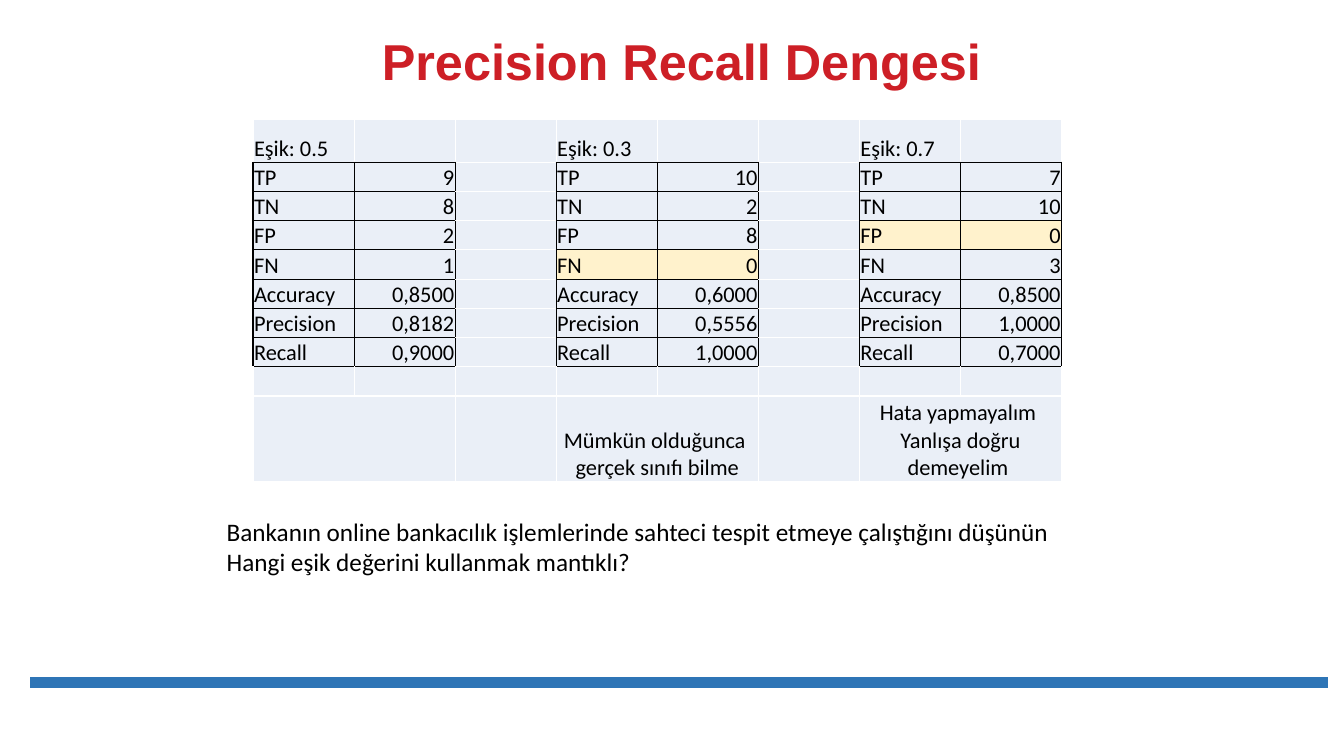
from lxml import etree
from pptx import Presentation
from pptx.dml.color import RGBColor
from pptx.enum.shapes import MSO_CONNECTOR as Connector
from pptx.enum.text import MSO_ANCHOR as Anchor, PP_ALIGN as Align
from pptx.oxml.ns import qn
from pptx.util import Inches, Pt

RED = RGBColor(0xCD, 0x1F, 0x26)
BLUE = RGBColor(0x2E, 0x75, 0xB6)
BLACK = RGBColor(0x00, 0x00, 0x00)
WHITE = RGBColor(0xFF, 0xFF, 0xFF)
PALE_BLUE = RGBColor(0xEA, 0xEF, 0xF7)
PALE_YELLOW = RGBColor(0xFF, 0xF2, 0xCC)

METRICS = ["TP", "TN", "FP", "FN", "Accuracy", "Precision", "Recall"]
# Threshold, metric values, highlighted metric, note below
THRESHOLDS = [
    ("0.5", ["9", "8", "2", "1", "0,8500", "0,8182", "0,9000"], None, ""),
    ("0.3", ["10", "2", "8", "0", "0,6000", "0,5556", "1,0000"], "FN",
     "Mümkün olduğunca \ngerçek sınıfı bilme"),
    ("0.7", ["7", "10", "0", "3", "0,8500", "1,0000", "0,7000"], "FP",
     "Hata yapmayalım \nYanlışa doğru demeyelim "),
]
BLOCK_STEP = 3
COLUMNS = BLOCK_STEP * len(THRESHOLDS) - 1
ROW_HEIGHTS = [0.43] + [0.29] * (len(METRICS) + 1) + [0.85]
NOTE_ROW = len(ROW_HEIGHTS) - 1


def format_runs(paragraph, font_name, size, color, bold=False):
    for run in paragraph.runs:
        run.font.name = font_name
        run.font.size = Pt(size)
        run.font.bold = bold
        run.font.color.rgb = color


def add_title(slide, text):
    title = slide.shapes.title
    title.left, title.top = Inches(2.15), Inches(0.31)
    title.width, title.height = Inches(9.22), Inches(0.65)
    title.text_frame.text = text
    title.text_frame.vertical_anchor = Anchor.MIDDLE
    paragraph = title.text_frame.paragraphs[0]
    paragraph.alignment = Align.CENTER
    paragraph.line_spacing = 0.9
    format_runs(paragraph, "Arial", 36, RED, bold=True)


def add_footer_line(slide):
    line = slide.shapes.add_connector(
        Connector.STRAIGHT, Inches(0.3), Inches(6.77), Inches(13.17), Inches(6.77))
    line.line.color.rgb = BLUE
    line.line.width = Pt(8)
    etree.SubElement(line._element.spPr, qn("a:effectLst"))


def is_metric_cell(row, column):
    return 1 <= row <= len(METRICS) and 0 <= column < COLUMNS and column % BLOCK_STEP < 2


def set_borders(cell, row, column):
    """Draw black edges around metric cells and white edges elsewhere."""
    neighbours = {"a:lnL": (row, column - 1), "a:lnR": (row, column + 1),
                  "a:lnT": (row - 1, column), "a:lnB": (row + 1, column)}
    properties = cell._tc.get_or_add_tcPr()
    for tag, neighbour in neighbours.items():
        touches_metric = is_metric_cell(row, column) or is_metric_cell(*neighbour)
        border = etree.SubElement(properties, qn(tag), w=str(Pt(1)))
        fill = etree.SubElement(border, qn("a:solidFill"))
        etree.SubElement(fill, qn("a:srgbClr"), val=str(BLACK if touches_metric else WHITE))


def format_blank_cell(cell, row, column):
    cell.margin_left = cell.margin_right = cell.margin_top = Inches(0.01)
    cell.margin_bottom = 0
    cell.vertical_anchor = Anchor.BOTTOM
    set_borders(cell, row, column)
    cell.fill.solid()
    cell.fill.fore_color.rgb = PALE_BLUE
    # Keeps empty rows from growing to the default text size
    end_properties = etree.SubElement(cell.text_frame.paragraphs[0]._p, qn("a:endParaRPr"))
    end_properties.set("sz", "1600")


def write_cell(cell, text, alignment=Align.LEFT):
    paragraph = cell.text_frame.paragraphs[0]
    paragraph.text = text
    paragraph.alignment = alignment
    format_runs(paragraph, "Calibri", 16, BLACK)


def fill_threshold_block(table, column, threshold, values, highlight, note):
    write_cell(table.cell(0, column), f"Eşik: {threshold}")
    for row, (metric, value) in enumerate(zip(METRICS, values), start=1):
        name_cell, value_cell = table.cell(row, column), table.cell(row, column + 1)
        write_cell(name_cell, metric)
        write_cell(value_cell, value, Align.RIGHT)
        if metric == highlight:
            name_cell.fill.fore_color.rgb = PALE_YELLOW
            value_cell.fill.fore_color.rgb = PALE_YELLOW
    note_cell = table.cell(NOTE_ROW, column)
    note_cell.merge(table.cell(NOTE_ROW, column + 1))
    if note:
        write_cell(note_cell, note, Align.CENTER)


def add_threshold_table(slide):
    table = slide.shapes.add_table(
        len(ROW_HEIGHTS), COLUMNS, Inches(2.51), Inches(1.18),
        Inches(8.02), Inches(sum(ROW_HEIGHTS))).table
    table.first_row = table.horz_banding = False
    for row, height in enumerate(ROW_HEIGHTS):
        table.rows[row].height = Inches(height)
        for column in range(COLUMNS):
            format_blank_cell(table.cell(row, column), row, column)
    for index, block in enumerate(THRESHOLDS):
        fill_threshold_block(table, index * BLOCK_STEP, *block)


def add_question(slide, lines):
    box = slide.shapes.add_textbox(Inches(2.15), Inches(5.07), Inches(8.45), Inches(0.71))
    box.text_frame.text = "\n".join(lines)
    for paragraph in box.text_frame.paragraphs:
        format_runs(paragraph, "Calibri", 18, BLACK)
    box.text_frame.word_wrap = True


def main():
    presentation = Presentation()
    presentation.slide_width = Inches(13.33)
    presentation.slide_height = Inches(7.5)
    slide = presentation.slides.add_slide(presentation.slide_layouts[5])
    add_title(slide, "Precision Recall Dengesi")
    add_footer_line(slide)
    add_threshold_table(slide)
    add_question(slide, [
        "Bankanın online bankacılık işlemlerinde sahteci tespit etmeye çalıştığını düşünün",
        "Hangi eşik değerini kullanmak mantıklı?",
    ])
    presentation.save("out.pptx")


if __name__ == "__main__":
    main()
